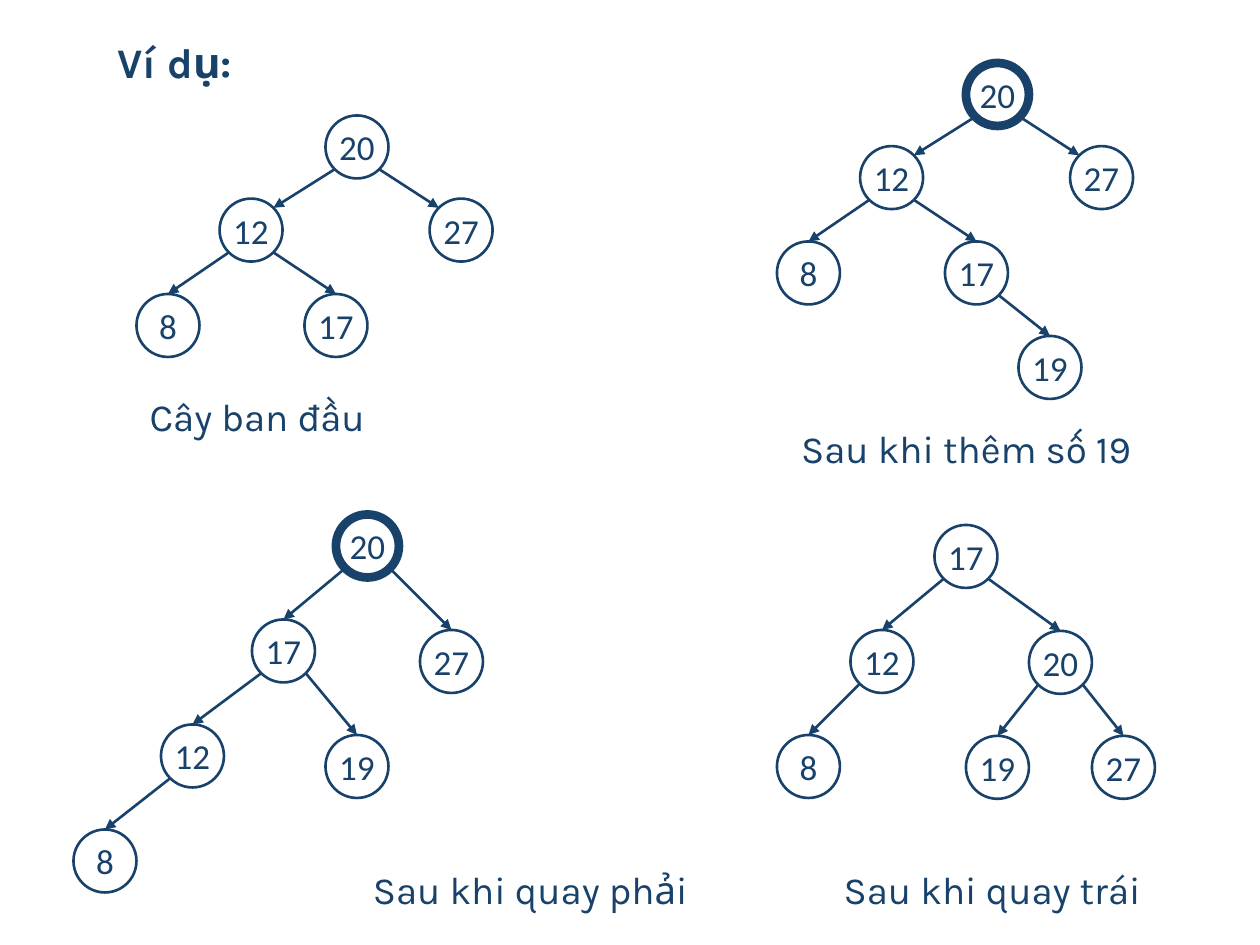
from math import copysign, sqrt

from lxml.etree import SubElement
from pptx import Presentation
from pptx.dml.color import RGBColor
from pptx.enum.shapes import MSO_CONNECTOR, MSO_SHAPE
from pptx.enum.text import MSO_ANCHOR, PP_ALIGN
from pptx.oxml.ns import qn
from pptx.util import Pt

COLORS = {"navy": "19426B", "white": "FFFFFF"}
DIAMETER = 36
DIAGONAL = DIAMETER / 2 / sqrt(2)
STEEP_DROP = 50

INITIAL = {
    20: (186, 66, None),
    12: (125.5, 113.5, 20),
    27: (245.5, 113.5, 20),
    8: (78, 168, 12),
    17: (174, 168, 12),
}
INSERTED = {key: (left + 366, top - 30, parent)
            for key, (left, top, parent) in INITIAL.items()}
INSERTED[19] = (582, 192, 17)
FIRST_ROTATION = {
    20: (192, 294, None),
    17: (144, 354, 20),
    27: (240, 360, 20),
    12: (92, 414, 17),
    19: (186, 420, 17),
    8: (42, 474, 12),
}
SECOND_ROTATION = {
    17: (534, 300, None),
    12: (486, 360, 17),
    20: (588, 360.5, 17),
    8: (444, 420, 12),
    19: (552, 420.5, 20),
    27: (624, 420.5, 20),
}
STAGES = [
    (INITIAL, None, "Cây ban đầu", (72, 216, 150)),
    (INSERTED, 20, "Sau khi thêm số 19", (432, 234, 240)),
    (FIRST_ROTATION, 20, "Sau khi quay phải", (198, 486, 210)),
    (SECOND_ROTATION, None, "Sau khi quay trái", (462, 486, 210)),
]


def rgb(name):
    return RGBColor.from_string(COLORS[name])


def write(frame, text, size=22, font="Karla", bold=False,
          align=PP_ALIGN.CENTER, anchor=MSO_ANCHOR.TOP, spacing=1.1,
          margins=(7.2, 6, 7.2, 3.6)):
    frame.word_wrap = True
    frame.vertical_anchor = anchor
    (frame.margin_left, frame.margin_top,
     frame.margin_right, frame.margin_bottom) = map(Pt, margins)
    paragraph = frame.paragraphs[0]
    paragraph.alignment = align
    paragraph.line_spacing = spacing
    paragraph.space_before = Pt(0)
    run = paragraph.add_run()
    run.text = text
    run.font.size = Pt(size)
    run.font.name = font
    run.font.bold = bold
    run.font.color.rgb = rgb("navy")


class TreeSlide:
    def __init__(self, slide, thin=1.5, thick=5):
        self.slide = slide
        self.thin = thin
        self.thick = thick

    def heading(self, text):
        title = self.slide.shapes.title
        title.left, title.top = Pt(24), Pt(12)
        title.width, title.height = Pt(528), Pt(42)
        write(title.text_frame, text, size=24, bold=True,
              align=PP_ALIGN.LEFT, margins=(43.2, 6, 7.2, 3.6))

    def caption(self, text, left, top, width):
        box = self.slide.shapes.add_textbox(Pt(left), Pt(top), Pt(width), Pt(42))
        write(box.text_frame, text)

    def node(self, group, key, left, top, highlighted):
        circle = group.shapes.add_shape(
            MSO_SHAPE.OVAL, Pt(left), Pt(top), Pt(DIAMETER), Pt(DIAMETER))
        circle.shadow.inherit = False
        circle.fill.solid()
        circle.fill.fore_color.rgb = rgb("white")
        circle.line.color.rgb = rgb("navy")
        circle.line.width = Pt(self.thick if highlighted else self.thin)
        write(circle.text_frame, str(key), size=20, font="Calibri",
              anchor=MSO_ANCHOR.MIDDLE, spacing=1.0, margins=(0, 3.6, 0, 3.6))
        return circle

    def edge(self, group, parent, child, child_circle):
        radius = DIAMETER / 2
        parent_x, parent_y = parent[0] + radius, parent[1] + radius
        child_x, child_y = child[0] + radius, child[1] + radius
        sideways = copysign(DIAGONAL, child_x - parent_x)
        steep = child_y - parent_y > STEEP_DROP
        end_x = child_x if steep else child_x - sideways
        end_y = child_y - (radius if steep else DIAGONAL)
        arrow = group.shapes.add_connector(
            MSO_CONNECTOR.STRAIGHT, Pt(parent_x + sideways),
            Pt(parent_y + DIAGONAL), Pt(end_x), Pt(end_y))
        if steep:
            arrow.end_connect(child_circle, 0)
        arrow.line.color.rgb = rgb("navy")
        arrow.line.width = Pt(self.thin)
        SubElement(arrow.line._get_or_add_ln(), qn("a:tailEnd"), type="triangle")
        SubElement(arrow._element.spPr, qn("a:effectLst"))

    def tree(self, nodes, unbalanced):
        group = self.slide.shapes.add_group_shape()
        circles = {key: self.node(group, key, left, top, key == unbalanced)
                   for key, (left, top, _) in nodes.items()}
        for key, (left, top, parent) in nodes.items():
            if parent is not None:
                self.edge(group, nodes[parent], (left, top), circles[key])


def main():
    deck = Presentation()
    deck.slide_width, deck.slide_height = Pt(720), Pt(540)
    page = TreeSlide(deck.slides.add_slide(deck.slide_layouts[5]))
    page.heading("Ví dụ:")
    for nodes, unbalanced, text, place in STAGES:
        page.tree(nodes, unbalanced)
        page.caption(text, *place)
    deck.save("out.pptx")


if __name__ == "__main__":
    main()
